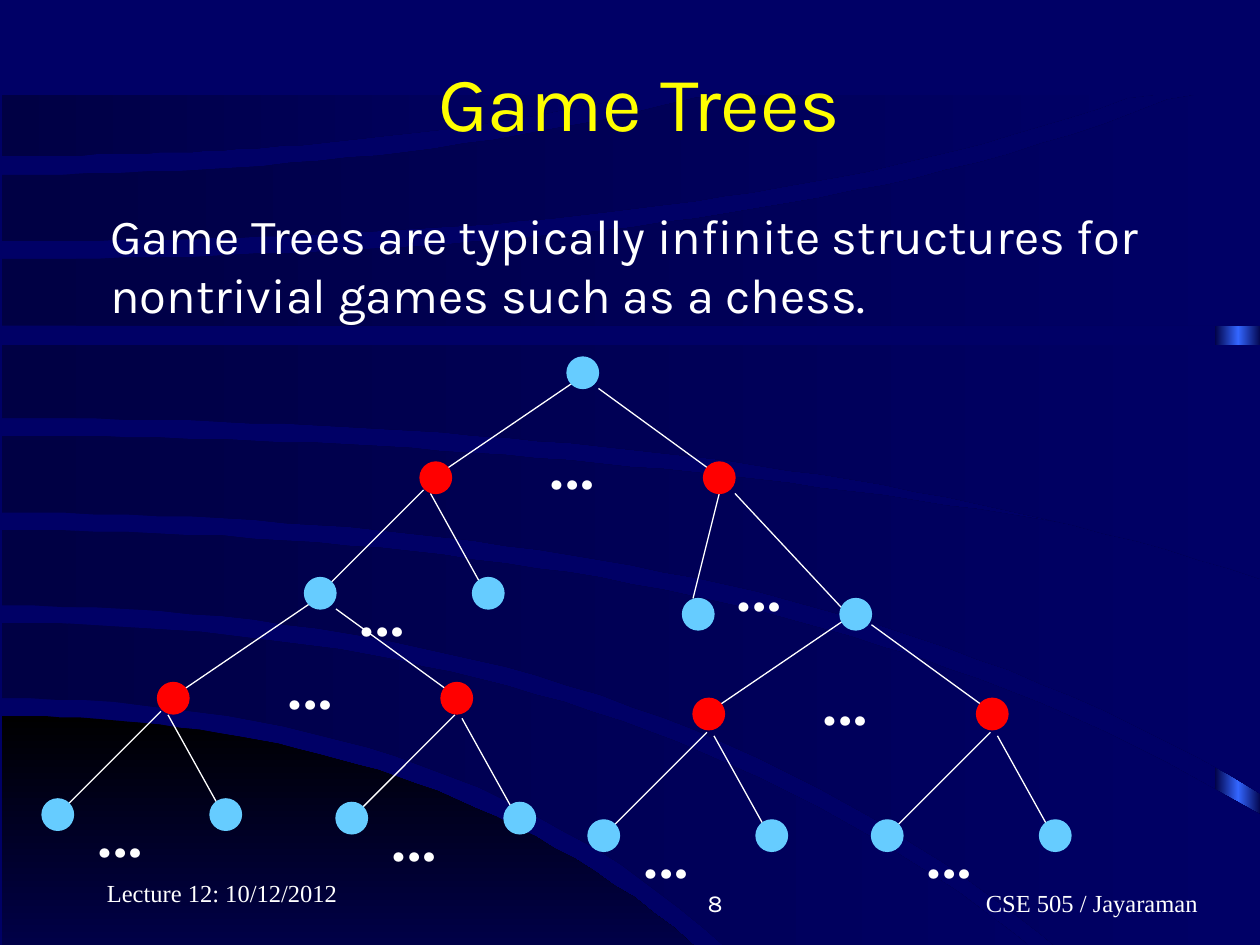
from copy import deepcopy

from pptx import Presentation
from pptx.dml.color import RGBColor
from pptx.enum.shapes import MSO_CONNECTOR, MSO_SHAPE
from pptx.enum.text import MSO_ANCHOR, PP_ALIGN
from pptx.oxml.ns import qn
from pptx.oxml.xmlchemy import OxmlElement
from pptx.util import Pt

color = RGBColor.from_string
NAVY, DARK, WHITE, SKY, RED = "000066", "000044", "FFFFFF", "66CCFF", "FF0000"


def paint_gradient(shape, colors, angle=0):
    """Fill with evenly spaced gradient stops, without outline or shadow."""
    shape.fill.gradient()
    shape.fill.gradient_angle = angle
    stop_list = shape.element.spPr.find(".//" + qn("a:gsLst"))
    while len(stop_list) < len(colors):
        stop_list.append(deepcopy(stop_list[-1]))
    for i, (stop, hex_color) in enumerate(zip(shape.fill.gradient_stops, colors)):
        stop.color.rgb = color(hex_color)
        stop.position = i / (len(colors) - 1)
    shape.line.fill.background()
    shape.shadow.inherit = False


def add_text(box, lines, size, font="Karla", align=PP_ALIGN.LEFT,
             anchor=MSO_ANCHOR.TOP, wrap=True):
    textbox = slide.shapes.add_textbox(*map(Pt, box))
    frame = textbox.text_frame
    frame.word_wrap = wrap
    frame.vertical_anchor = anchor
    frame.text = "\n".join(lines)
    for paragraph in frame.paragraphs:
        paragraph.alignment = align
        paragraph.font.size = Pt(size)
        paragraph.font.name = font
        paragraph.font.color.rgb = color(WHITE)
    return frame


prs = Presentation()
prs.slide_width, prs.slide_height = Pt(720), Pt(540)
slide = prs.slides.add_slide(prs.slide_layouts[5])
slide.background.fill.solid()
slide.background.fill.fore_color.rgb = color(NAVY)

# Backdrop: a bright strip at the right edge, seen between the sweeping bands
strip = slide.shapes.add_shape(MSO_SHAPE.RECTANGLE, Pt(694), Pt(55), Pt(27), Pt(540))
paint_gradient(strip, [DARK, "3366FF", DARK])

# Each band: right end, then its upper and lower edge as (start, a, b)
# with y = start + a * u**2 + b * u**4, where u is x in hundreds of points
bands = [
    (453, (409, 6.1, 0.14), (594, 0, 0)),
    (644, (356, 3.95, 0.04), (399, 5.7, 0.15)),
    (721, (303, 2.1, 0.02), (346, 3.9, 0.04)),
    (721, (249, 1.35, 0), (293, 2.05, 0.02)),
    (721, (197, 0, 0), (239, 1.25, 0.01)),
    (721, (148, -1.15, -0.02), (186, 0, 0)),
    (661, (100, -2.3, -0.03), (138, -1.15, -0.02)),
    (361, (54, 0, 0), (89, -2, -0.05)),
]
BAND_TOP, BAND_BOTTOM, STEPS = 54, 594, 40
for index, (right, upper, lower) in enumerate(bands):
    xs = [1 + (right - 1) * i / STEPS for i in range(STEPS + 1)]
    upper_edge, lower_edge = [
        [(x, min(max(start + a * (x / 100) ** 2 + b * (x / 100) ** 4, BAND_TOP), BAND_BOTTOM))
         for x in xs]
        for start, a, b in (upper, lower)]
    outline = upper_edge + lower_edge[::-1]
    builder = slide.shapes.build_freeform(*outline[0], scale=Pt(1))
    builder.add_line_segments(outline[1:], close=True)
    band = builder.convert_to_shape()
    if index == 0:
        paint_gradient(band, ["000000", NAVY], 270)
    else:
        paint_gradient(band, [DARK, NAVY])

# Title, brought in front of the backdrop
title = slide.shapes.title
slide.shapes.element.append(title.element)
title.left, title.top, title.width, title.height = Pt(66), Pt(31), Pt(612), Pt(90)
title_frame = title.text_frame
title_frame.text = "Game Trees"
title_frame.vertical_anchor = MSO_ANCHOR.TOP
title_frame.margin_left = title_frame.margin_top = 0
title_frame.margin_right = Pt(13)
heading = title_frame.paragraphs[0]
heading.alignment = PP_ALIGN.CENTER
heading.font.size = Pt(44)
heading.font.name = "Karla"
heading.font.color.rgb = color("FFFF00")

# Footer and statement
add_text((54, 486, 150, 36), ["Lecture 12: 10/12/2012"], 14, "Times New Roman",
         anchor=MSO_ANCHOR.BOTTOM)
course = add_text((474, 492, 228, 36), ["CSE 505 / Jayaraman"], 14, "Times New Roman",
                  PP_ALIGN.CENTER, MSO_ANCHOR.BOTTOM)
course.margin_left = Pt(79)
add_text((270, 492, 150, 36), ["8"], 14, align=PP_ALIGN.RIGHT, anchor=MSO_ANCHOR.BOTTOM)
add_text((56, 114, 621, 75), ["Game Trees are typically infinite structures for",
                              "nontrivial games such as a chess."], 28, wrap=False)

# Branch forms, relative to the left child: two edges, right child offset, dots
wide = [(87, -45, 12, 6), (102, -42, 168, 6)], 162, (67, -36)
narrow = [(68, -50, 6, 12), (72, -48, 102, 6)], 96, (24.5, -18)
steep = [(21, -60, 6, 0), (30, -60, 100, 15)], 90, (24, -44)

# Each branch: form, corner of the left child, colour of the children
branches = [
    (wide, 240, 264, RED),
    (narrow, 174, 330, SKY), (steep, 390, 342, SKY),
    (wide, 90, 390, RED), (wide, 396, 399, RED),
    (narrow, 24, 456.5, SKY), (narrow, 192, 458.5, SKY),
    (narrow, 336, 468.5, SKY), (narrow, 498, 468.5, SKY),
]
nodes = [(324, 204, SKY)]
for (edges, spread, dots), x, y, node_color in branches:
    for x1, y1, x2, y2 in edges:
        edge = slide.shapes.add_connector(
            MSO_CONNECTOR.STRAIGHT, Pt(x + x1), Pt(y + y1), Pt(x + x2), Pt(y + y2))
        edge.line.color.rgb = color(WHITE)
        edge.line.width = Pt(0.75)
        edge.element.spPr.append(OxmlElement("a:effectLst"))
    nodes += [(x, y, node_color), (x + spread, y, node_color)]
    add_text((x + dots[0], y + dots[1], 52, 65), ["…"], 48, wrap=False)

for x, y, node_color in nodes:
    node = slide.shapes.add_shape(MSO_SHAPE.OVAL, Pt(x), Pt(y), Pt(18), Pt(18))
    node.fill.solid()
    node.fill.fore_color.rgb = color(node_color)
    node.line.color.rgb = color(node_color)
    node.line.width = Pt(0.75)
    node.shadow.inherit = False

prs.save("out.pptx")
